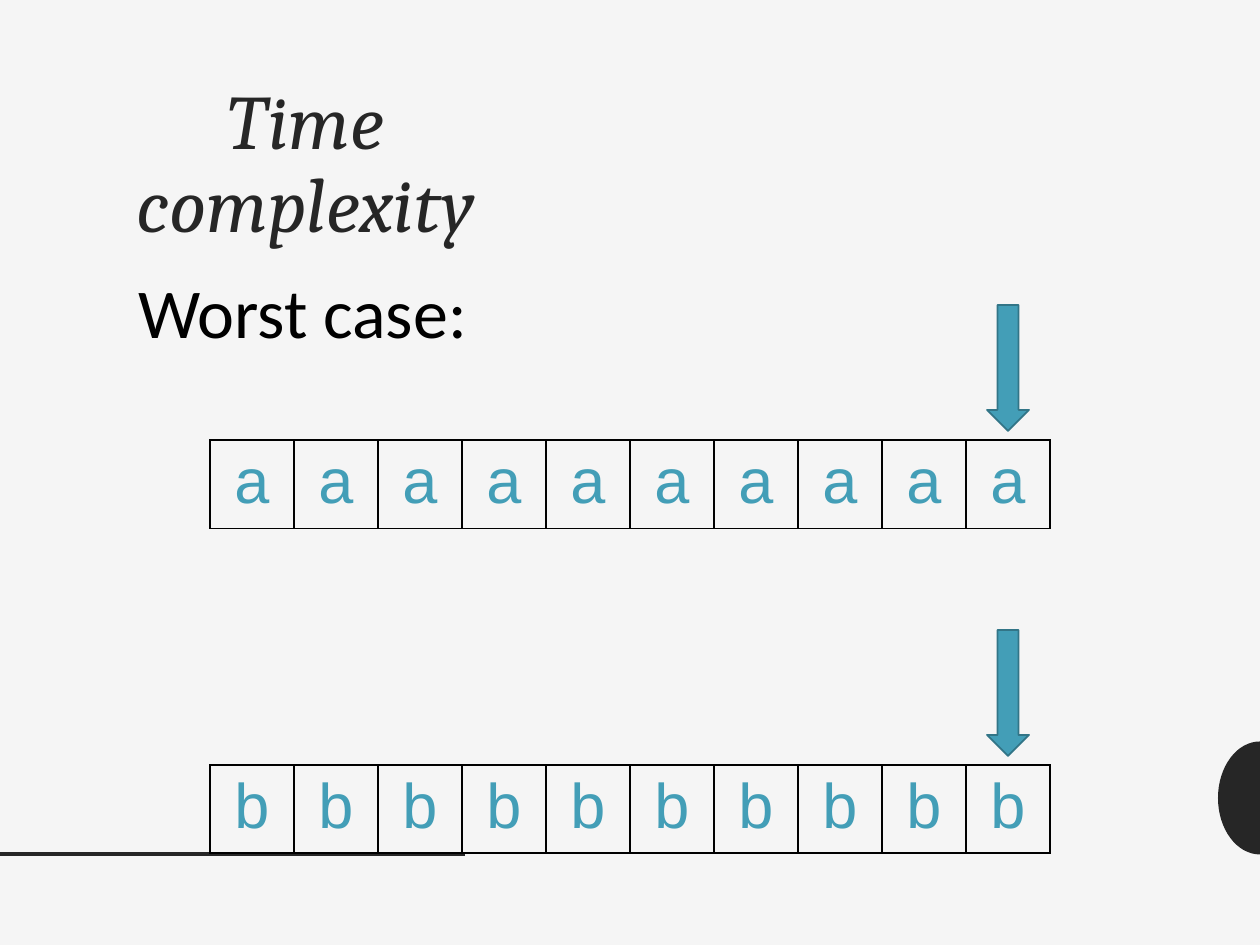
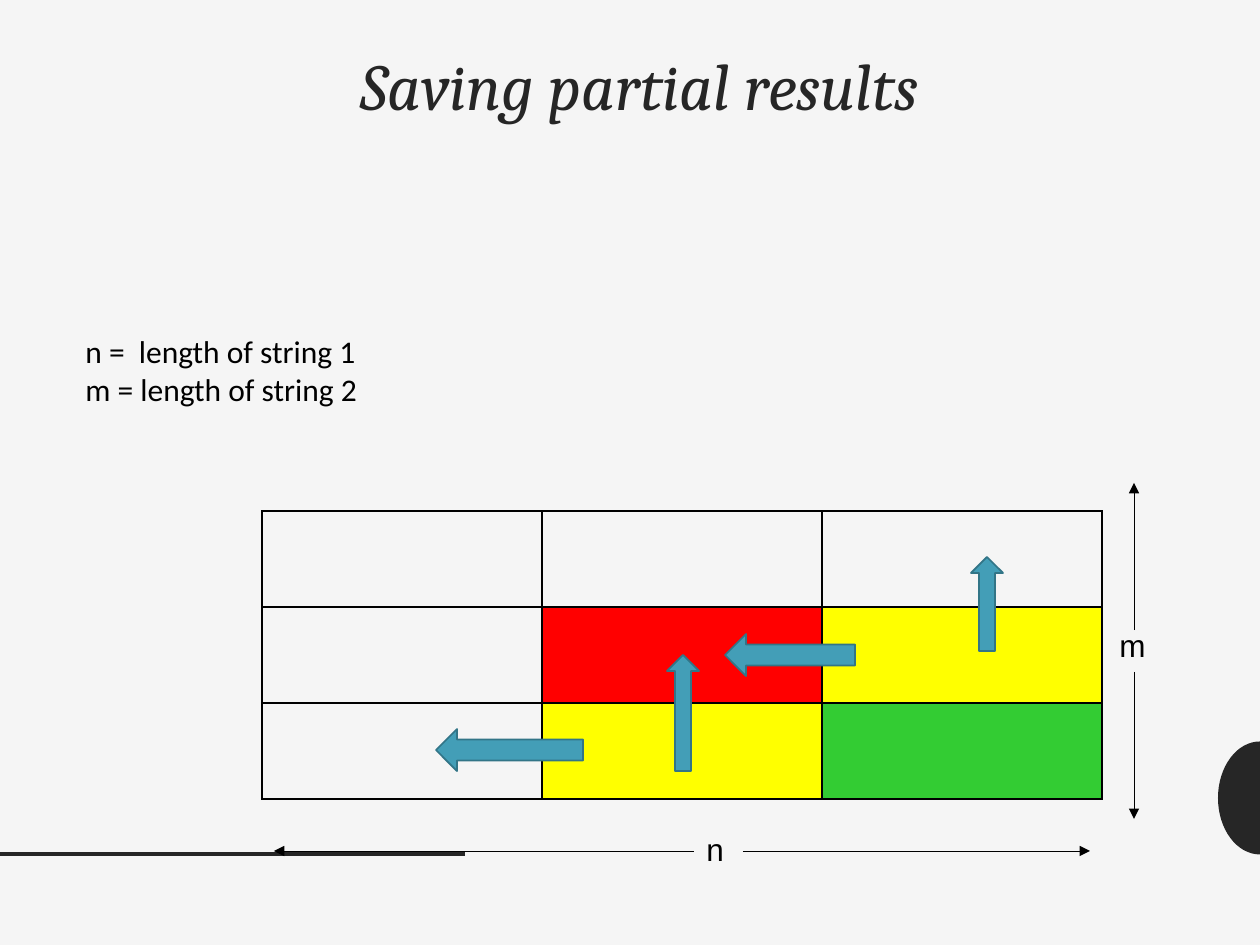
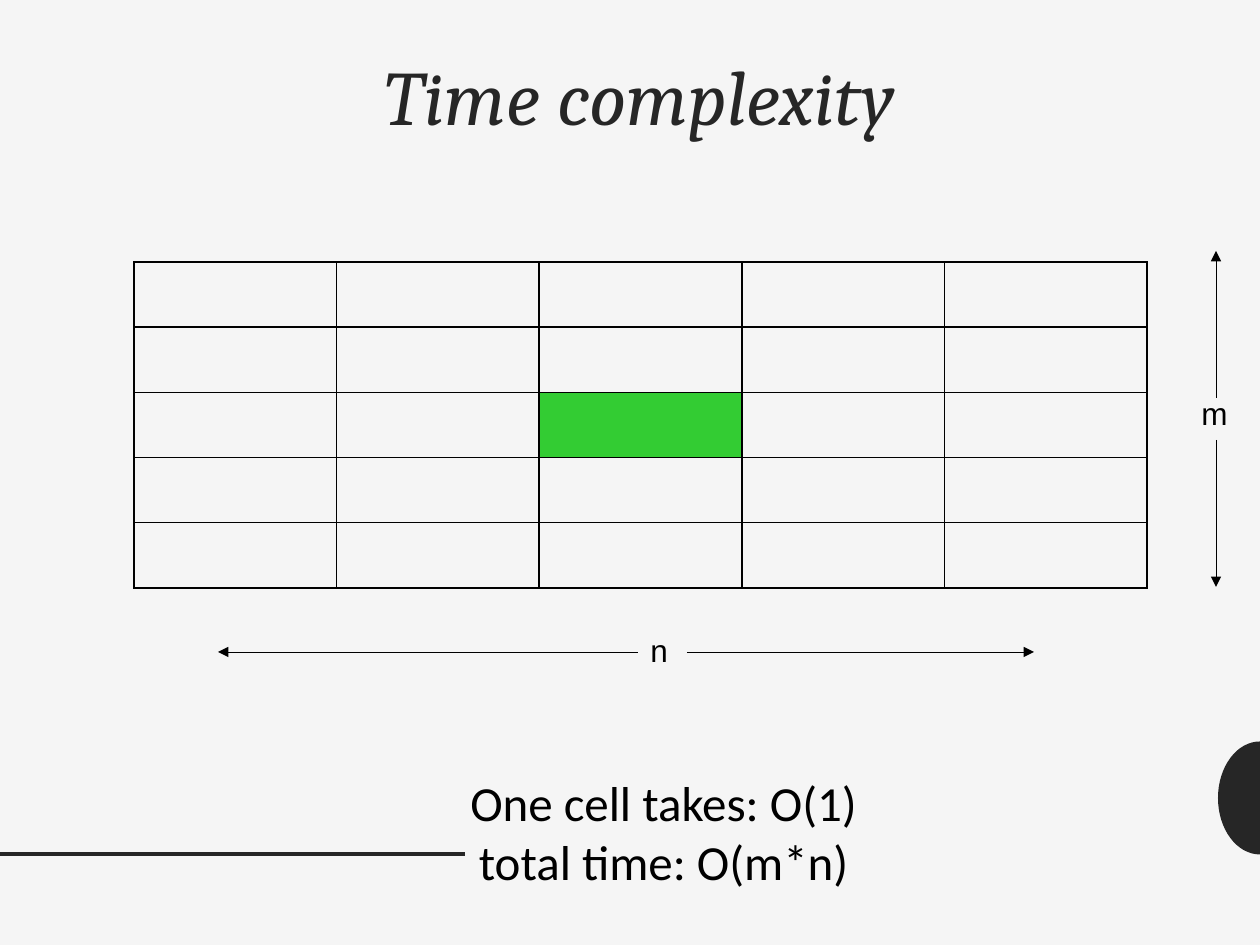
from dataclasses import dataclass
from math import cos, pi, sin

from lxml.etree import SubElement
from pptx import Presentation
from pptx.dml.color import RGBColor as Rgb
from pptx.enum.shapes import MSO_CONNECTOR as Link, MSO_SHAPE as Shape
from pptx.enum.text import PP_ALIGN as Align
from pptx.oxml.ns import qn
from pptx.util import Pt


@dataclass(frozen=True)
class Theme:
    paper: str = "F5F5F5"
    dark: str = "262626"
    black: str = "000000"
    teal: str = "439EB7"
    teal_edge: str = "327587"
    red: str = "FF0000"
    yellow: str = "FFFF00"
    green: str = "33CC33"
    title_font: str = "Cambria"
    body_font: str = "Calibri"
    mark_font: str = "Arial"
    title_size: float = 44
    long_title_size: float = 37.5
    case_size: float = 40
    letter_size: float = 36
    result_size: float = 28
    note_size: float = 18
    band_weight: float = 2
    edge_weight: float = 1
    measure_weight: float = 0.5


theme = Theme()
SCALE = 9144000 / 1260


def emu(*pixels):
    return [round(pixel * SCALE) for pixel in pixels]


def write(frame, lines, size, font, color, align=Align.LEFT, italic=False, spacing=1.0):
    frame.word_wrap = True
    frame.text = "\n".join(lines)
    for paragraph in frame.paragraphs:
        paragraph.alignment = align
        paragraph.line_spacing = spacing
        for run in paragraph.runs:
            run.font.size = Pt(size)
            run.font.name = font
            run.font.italic = italic
            run.font.color.rgb = Rgb.from_string(color)


measures = {
    "n": [(0, 27, -420, 27), (49, 27, 396, 27)],
    "m": [(27, 10, 27, -137), (27, 52, 27, 199)],
}

pages = [
    {
        "title": ("Time complexity", (78, 77, 456, 683), theme.title_size),
        "notes": [(["Worst case:"], (126, 262, 1018, 183), theme.case_size, Align.LEFT)],
        "grids": [
            (1, 10, (210, 440, 840, 88), "a", {}),
            (1, 10, (210, 765, 840, 88), "b", {}),
        ],
        "measures": [],
        "arrows": [
            (Shape.DOWN_ARROW, (987, 305, 42, 126)),
            (Shape.DOWN_ARROW, (987, 630, 42, 126)),
        ],
    },
    {
        "title": ("Saving partial results", (97, 48, 1086, 183), theme.long_title_size),
        "notes": [(["n =  length of string 1", "m = length of string 2"],
                   (73, 326, 462, 89), theme.note_size, Align.LEFT)],
        "grids": [
            (3, 3, (262, 511, 840, 288), "", {
                (1, 1): theme.red, (1, 2): theme.yellow,
                (2, 1): theme.yellow, (2, 2): theme.green,
            }),
        ],
        "measures": [("n", 694, 824), ("m", 1107, 620)],
        "arrows": [
            (Shape.UP_ARROW, (971, 557, 32, 94)),
            (Shape.LEFT_ARROW, (725, 634, 130, 42)),
            (Shape.UP_ARROW, (667, 655, 32, 116)),
            (Shape.LEFT_ARROW, (436, 729, 147, 42)),
        ],
    },
    {
        "title": ("Time complexity", (97, 53, 1086, 183), theme.title_size),
        "notes": [(["One cell takes: O(1)\vtotal time: O(m*n)"],
                   (438, 766, 451, 131), theme.result_size, Align.CENTER)],
        "grids": [(5, 5, (134, 262, 1013, 326), "", {(2, 2): theme.green})],
        "measures": [("n", 638, 625), ("m", 1189, 388)],
        "arrows": [],
    },
]

deck = Presentation()
deck.slide_width, deck.slide_height = emu(1260, 945)

for page in pages:
    slide = deck.slides.add_slide(deck.slide_layouts[6])
    slide.background.fill.solid()
    slide.background.fill.fore_color.rgb = Rgb.from_string(theme.paper)
    shapes = slide.shapes

    rim = [(1260 - 42 * sin(pi * step / 32), 798 - 56.5 * cos(pi * step / 32))
           for step in range(33)]
    outline = shapes.build_freeform(*emu(*rim[0]))
    outline.add_line_segments([emu(*point) for point in rim[1:]], close=True)
    half_disc = outline.convert_to_shape()
    half_disc.shadow.inherit = False
    half_disc.fill.solid()
    half_disc.fill.fore_color.rgb = Rgb.from_string(theme.dark)
    half_disc.line.fill.background()

    strokes = [((0, 854, 465, 854), theme.dark, theme.band_weight, False)]
    for label, left, top in page["measures"]:
        for x1, y1, x2, y2 in measures[label]:
            ends = (left + x1, top + y1, left + x2, top + y2)
            strokes.append((ends, theme.black, theme.measure_weight, True))
    for ends, color, weight, pointed in strokes:
        stroke = shapes.add_connector(Link.STRAIGHT, *emu(*ends))
        stroke.line.color.rgb = Rgb.from_string(color)
        stroke.line.width = Pt(weight)
        if pointed:
            SubElement(stroke.get_or_add_ln(), qn("a:tailEnd"), type="triangle")
        SubElement(stroke.element.spPr, qn("a:effectLst"))

    title, place, size = page["title"]
    write(shapes.add_textbox(*emu(*place)).text_frame, [title], size,
          theme.title_font, theme.dark, Align.CENTER, True, 0.9)

    for lines, place, size, align in page["notes"]:
        write(shapes.add_textbox(*emu(*place)).text_frame, lines, size,
              theme.body_font, theme.black, align)

    for label, left, top in page["measures"]:
        write(shapes.add_textbox(*emu(left, top, 53, 53)).text_frame, [label],
              theme.note_size, theme.mark_font, theme.black)

    for rows, columns, place, letter, fills in page["grids"]:
        grid = shapes.add_table(rows, columns, *emu(*place)).table
        grid.first_row = False
        grid.horz_banding = False
        for row in range(rows):
            for column in range(columns):
                cell = grid.cell(row, column)
                if letter:
                    write(cell.text_frame, [letter], theme.letter_size,
                          theme.mark_font, theme.teal, Align.CENTER)
                borders = cell._tc.get_or_add_tcPr()
                for side in ("a:lnL", "a:lnR", "a:lnT", "a:lnB"):
                    edge = SubElement(borders, qn(side), w=str(Pt(theme.edge_weight)))
                    SubElement(SubElement(edge, qn("a:solidFill")),
                               qn("a:srgbClr"), val=theme.black)
                if (row, column) in fills:
                    cell.fill.solid()
                    cell.fill.fore_color.rgb = Rgb.from_string(fills[row, column])
                else:
                    cell.fill.background()

    for direction, place in page["arrows"]:
        arrow = shapes.add_shape(direction, *emu(*place))
        arrow.shadow.inherit = False
        arrow.fill.solid()
        arrow.fill.fore_color.rgb = Rgb.from_string(theme.teal)
        arrow.line.color.rgb = Rgb.from_string(theme.teal_edge)
        arrow.line.width = Pt(theme.edge_weight)

deck.save("out.pptx")
